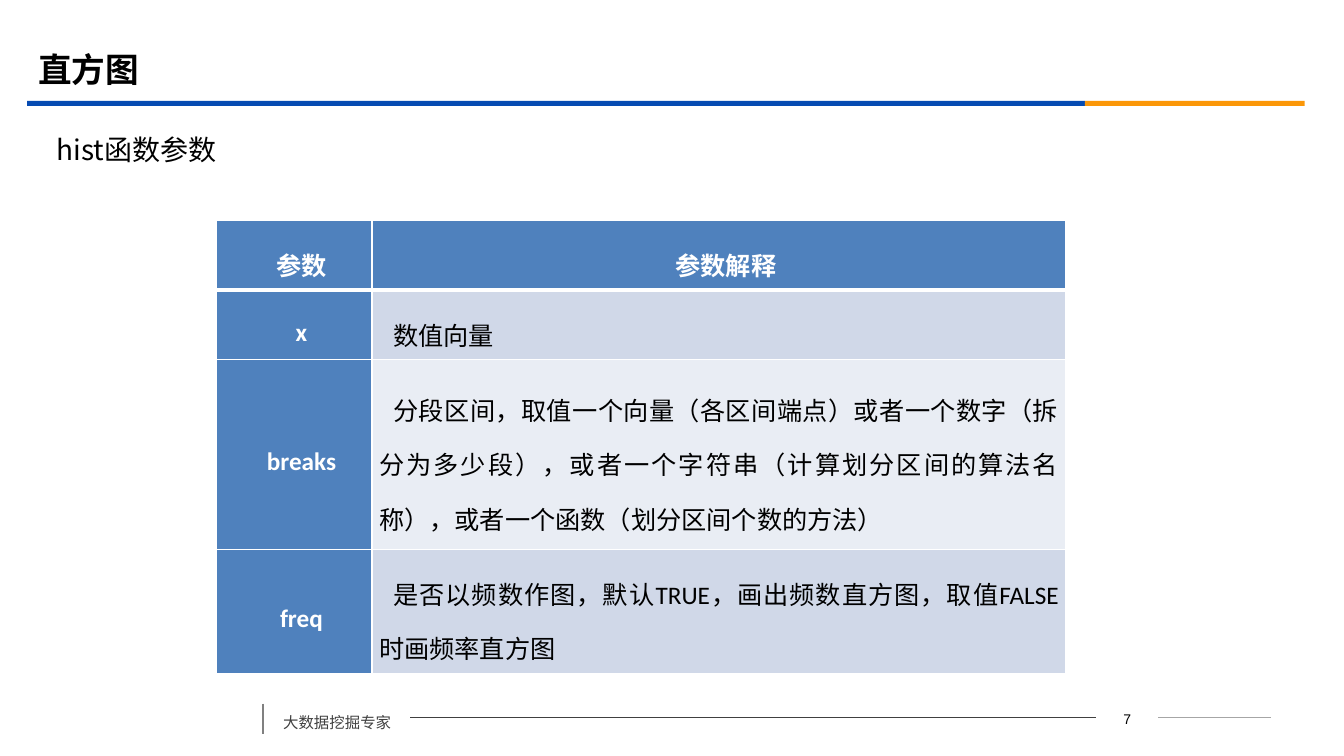
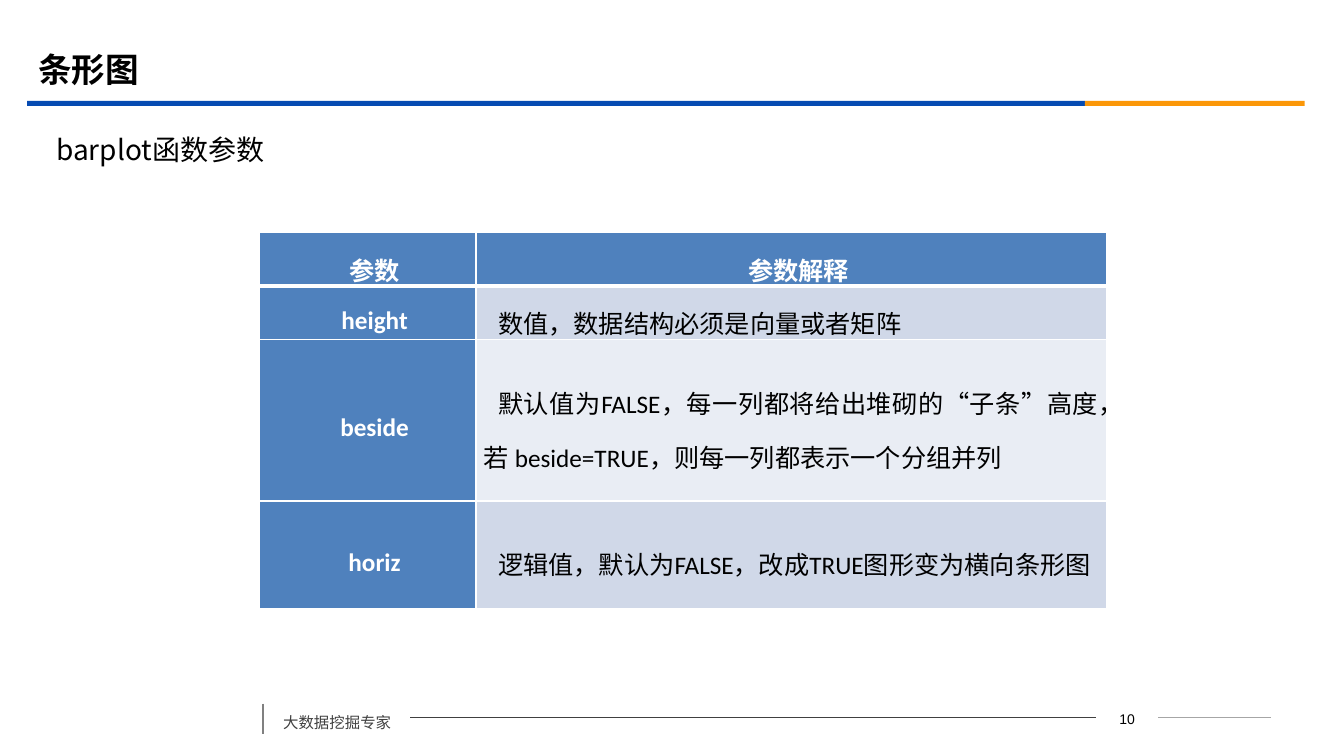
from lxml.etree import SubElement
from pptx import Presentation
from pptx.dml.color import RGBColor
from pptx.enum.lang import MSO_LANGUAGE_ID
from pptx.enum.shapes import MSO_CONNECTOR, MSO_SHAPE
from pptx.enum.text import MSO_ANCHOR, PP_ALIGN
from pptx.oxml.ns import qn
from pptx.util import Inches, Pt

HEADER = ("参数", "参数解释")
SLIDES = [
    {
        "title": "直方图", "subtitle": "hist函数参数", "page": "7",
        "origin": (2.15, 2.19), "columns": (1.54, 6.88),
        "heights": (0.69, 0.69, 1.88, 1.23), "inset": 0.07,
        "parameters": [
            ("x", "数值向量"),
            ("breaks", "分段区间，取值一个向量（各区间端点）或者一个数字（拆分为多少段），"
                       "或者一个字符串（计算划分区间的算法名称），或者一个函数（划分区间个数的方法）"),
            ("freq", "是否以频数作图，默认TRUE，画出频数直方图，取值FALSE时画频率直方图"),
        ],
    },
    {
        "title": "条形图", "subtitle": "barplot函数参数", "page": "10",
        "origin": (2.57, 2.31), "columns": (2.15, 6.26),
        "heights": (0.53, 0.53, 1.6, 1.07), "inset": 0.08,
        "parameters": [
            ("height", "数值，数据结构必须是向量或者矩阵"),
            ("beside", "默认值为FALSE，每一列都将给出堆砌的“子条”高度，"
                       "若 beside=TRUE，则每一列都表示一个分组并列"),
            ("horiz", "逻辑值，默认为FALSE，改成TRUE图形变为横向条形图"),
        ],
    },
]
FOOTER = "大数据挖掘专家"

COLORS = {
    "black": "000000", "white": "FFFFFF", "band": "064BB2", "accent": "FB9708",
    "footer": "404040", "divider": "808080", "short_rule": "A6A6A6",
    "head": "4F81BD", "odd": "D0D8E8", "even": "E9EDF4",
}
CJK = "Noto Sans CJK SC"
FOOTER_Y = 7.12  # centre line of the footer


def rgb(name):
    return RGBColor.from_string(COLORS[name])


def write(frame, text, size=18, font=CJK, color="black", bold=False,
          align=PP_ALIGN.LEFT, spacing=None, before=None, indent=0):
    paragraph = frame.paragraphs[0]
    paragraph.alignment = align
    paragraph.line_spacing = spacing
    if before is not None:
        paragraph.space_before = Pt(before)
    if indent:
        properties = paragraph._p.get_or_add_pPr()
        properties.set("marL", "0")
        properties.set("indent", str(Inches(indent)))
    run = paragraph.add_run()
    run.text = text
    run.font.size, run.font.name, run.font.bold = Pt(size), font, bold
    run.font.color.rgb = rgb(color)
    run.font.language_id = MSO_LANGUAGE_ID.SIMPLIFIED_CHINESE
    SubElement(run._r.get_or_add_rPr(), qn("a:ea"), typeface=CJK)


def add_text(slide, box, text, anchor=MSO_ANCHOR.MIDDLE, **style):
    holder = slide.shapes.add_textbox(*map(Inches, box))
    holder.text_frame.word_wrap = True
    holder.text_frame.vertical_anchor = anchor
    write(holder.text_frame, text, **style)
    return holder


def add_band(slide, left, width, color):
    band = slide.shapes.add_shape(
        MSO_SHAPE.RECTANGLE, *map(Inches, (left, 1, width, 0.05)))
    band.shadow.inherit = False
    band.fill.solid()
    band.fill.fore_color.rgb = rgb(color)
    band.line.fill.background()


def add_rule(slide, start, end, color, weight=0.75):
    rule = slide.shapes.add_connector(
        MSO_CONNECTOR.STRAIGHT, *map(Inches, start + end))
    rule.line.color.rgb = rgb(color)
    rule.line.width = Pt(weight)
    SubElement(rule._element.spPr, qn("a:effectLst"))
    return rule


def add_frame(slide, content):
    # Title, bands and subtitle
    add_band(slide, 0.27, 10.49, "band")
    add_band(slide, 10.76, 2.18, "accent")
    add_text(slide, (0.28, 0.39, 12, 0.58), content["title"], size=24, bold=True)
    add_text(slide, (0.46, 1.25, 12.15, 0.47), content["subtitle"], size=20, before=4)

    # Footer
    motto = add_text(slide, (2.71, FOOTER_Y - 0.19, 1.36, 0.38), FOOTER,
                     anchor=MSO_ANCHOR.TOP, size=11, color="footer",
                     spacing=1.5, before=6)
    number = add_text(slide, (10.87, FOOTER_Y - 0.12, 0.62, 0.24), content["page"],
                      anchor=MSO_ANCHOR.TOP, size=10, font="Arial",
                      align=PP_ALIGN.CENTER)
    add_rule(slide, (2.61, 6.98), (2.61, 7.28), "divider", 1.25)
    long_rule = add_rule(slide, (4.07, FOOTER_Y), (10.87, FOOTER_Y), "footer")
    long_rule.begin_connect(motto, 3)
    long_rule.end_connect(number, 1)
    short_rule = add_rule(slide, (11.49, FOOTER_Y), (12.61, FOOTER_Y), "short_rule")
    short_rule.begin_connect(number, 3)


def format_cell(cell, fill, inset, top, bottom):
    cell.margin_left = cell.margin_right = Inches(inset)
    cell.margin_top = cell.margin_bottom = 0
    cell.vertical_anchor = MSO_ANCHOR.MIDDLE
    properties = cell._tc.get_or_add_tcPr()
    for side, weight in (("L", 1), ("R", 1), ("T", top), ("B", bottom)):
        border = SubElement(properties, qn(f"a:ln{side}"), w=str(Pt(weight)))
        paint = SubElement(border, qn("a:solidFill"))
        SubElement(paint, qn("a:srgbClr"), val=COLORS["white"])
    cell.fill.solid()
    cell.fill.fore_color.rgb = rgb(fill)


def add_parameters(slide, content):
    rows = [HEADER] + content["parameters"]
    columns, heights = content["columns"], content["heights"]
    box = content["origin"] + (sum(columns), sum(heights))
    table = slide.shapes.add_table(
        len(rows), len(columns), *map(Inches, box)).table
    for column, width in zip(table.columns, columns):
        column.width = Inches(width)
    for r, (row, height) in enumerate(zip(rows, heights)):
        table.rows[r].height = Inches(height)
        for c, text in enumerate(row):
            heading = r == 0 or c == 0
            cell = table.cell(r, c)
            fill = "head" if heading else "odd" if r % 2 else "even"
            # The thick rule under the header belongs to the rows on both sides
            format_cell(cell, fill, content["inset"],
                        top=3 if r == 1 else 1, bottom=3 if r == 0 else 1)
            write(cell.text_frame, text, font="Calibri", bold=heading,
                  color="white" if heading else "black",
                  align=PP_ALIGN.CENTER if heading else PP_ALIGN.JUSTIFY,
                  spacing=1.5, indent=0.14)


def main():
    deck = Presentation()
    deck.slide_width, deck.slide_height = Inches(13.33), Inches(7.5)
    for content in SLIDES:
        slide = deck.slides.add_slide(deck.slide_layouts[6])
        add_frame(slide, content)
        add_parameters(slide, content)
    deck.save("out.pptx")


if __name__ == "__main__":
    main()
